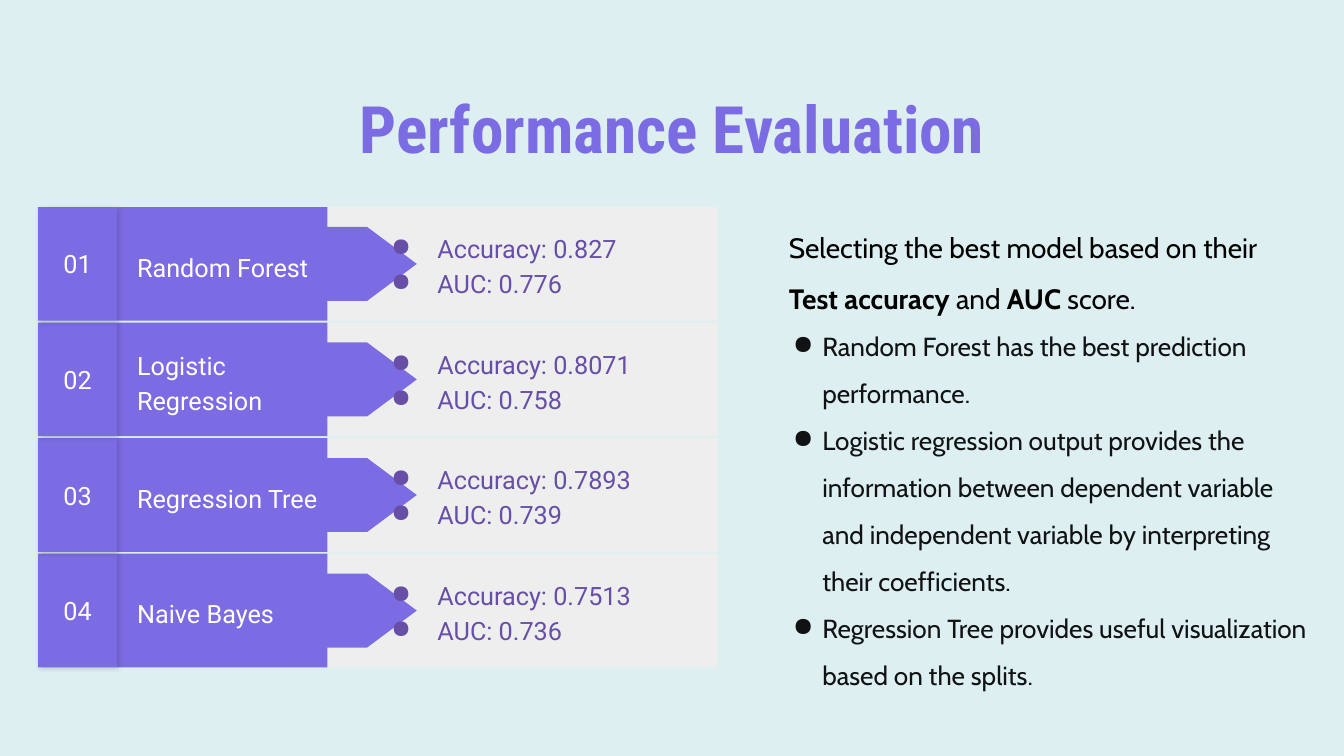
from dataclasses import dataclass

import pptx
import pptx.dml.color
import pptx.enum.shapes
import pptx.enum.text
import pptx.oxml
import pptx.oxml.ns
import pptx.shapes.autoshape
import pptx.shapes.shapetree
import pptx.text.text
import pptx.util

Pt = pptx.util.Pt
RGBColor = pptx.dml.color.RGBColor
Shape = pptx.shapes.autoshape.Shape
Paragraph = pptx.text.text._Paragraph
Align = pptx.enum.text.PP_ALIGN
Anchor = pptx.enum.text.MSO_ANCHOR
Preset = pptx.enum.shapes.MSO_SHAPE

BACKGROUND = RGBColor(0xDD, 0xEF, 0xF0)
PURPLE = RGBColor(0x7C, 0x6C, 0xE3)
DARK_PURPLE = RGBColor(0x67, 0x4E, 0xA7)
GREY = RGBColor(0xEE, 0xEE, 0xEE)
WHITE = RGBColor(0xFF, 0xFF, 0xFF)
BLACK = RGBColor(0x00, 0x00, 0x00)
INK = RGBColor(0x10, 0x12, 0x14)

ROW_TOP, ROW_PITCH, ROW_HEIGHT = 221.9, 123.8, 121.7
NUMBER_LEFT, NUMBER_WIDTH = 41, 84.3
LABEL_LEFT, LABEL_WIDTH = 125.3, 225.4
PANEL_LEFT, PANEL_WIDTH = 301.7, 467.3
ARROW_CENTER, ARROW_THICKNESS, ARROW_LENGTH = 313.6, 79.2, 266
ROW_INSET = 14.4


@dataclass(frozen=True)
class Box:
    left: float
    top: float
    width: float
    height: float

    def lengths(self) -> list[pptx.util.Length]:
        return [Pt(value) for value in (self.left, self.top, self.width, self.height)]


@dataclass(frozen=True)
class TextStyle:
    font: str
    size: float
    color: RGBColor
    bold: bool = False


@dataclass(frozen=True)
class Model:
    name: str
    accuracy: str
    auc: str


MODELS = [
    Model("Random Forest", "0.827", "0.776"),
    Model("Logistic Regression", "0.8071", "0.758"),
    Model("Regression Tree", "0.7893", "0.739"),
    Model("Naive Bayes", "0.7513", "0.736"),
]
INTRODUCTION = [
    ("Selecting the best model based on their", False),
    (" Test accuracy ", True),
    ("and", False),
    (" AUC ", True),
    ("score.", False),
]
FINDINGS = [
    "Random Forest has the best prediction performance.",
    "Logistic regression output provides the information between dependent "
    "variable and independent variable by interpreting their coefficients.",
    "Regression Tree provides useful visualization based on the splits.",
]

TITLE_STYLE = TextStyle("Roboto Condensed", 70, PURPLE, True)
ROW_STYLE = TextStyle("Roboto", 27, WHITE)
METRIC_STYLE = TextStyle("Roboto", 27, DARK_PURPLE)
INTRODUCTION_STYLE = TextStyle("Cabin", 30, BLACK)
FINDING_STYLE = TextStyle("Cabin", 28, INK)


def add_block(shapes: pptx.shapes.shapetree._BaseGroupShapes, preset: Preset,
              box: Box, color: RGBColor) -> Shape:
    shape = shapes.add_shape(preset, *box.lengths())
    shape.shadow.inherit = False
    shape.fill.solid()
    shape.fill.fore_color.rgb = color
    shape.line.fill.background()
    return shape


def add_soft_shadow(shape: Shape) -> None:
    effects = shape._element.spPr.find(pptx.oxml.ns.qn("a:effectLst"))
    effects.append(pptx.oxml.parse_xml(
        f'<a:outerShdw {pptx.oxml.ns.nsdecls("a")} blurRad="{Pt(5.6)}" dist="{Pt(2.2)}" '
        'dir="2700000" algn="bl" rotWithShape="0">'
        '<a:srgbClr val="000000"><a:alpha val="17000"/></a:srgbClr></a:outerShdw>'))


def prepare_frame(shape: Shape, inset: float, anchor: Anchor) -> pptx.text.text.TextFrame:
    frame = shape.text_frame
    frame.word_wrap = True
    frame.vertical_anchor = anchor
    frame.margin_left = frame.margin_top = Pt(inset)
    frame.margin_right = frame.margin_bottom = Pt(inset)
    return frame


def style_paragraph(paragraph: Paragraph, style: TextStyle, spacing: float = 1.0,
                    alignment: Align = Align.LEFT) -> None:
    paragraph.alignment = alignment
    paragraph.line_spacing = spacing
    for run in paragraph.runs:
        run.font.name = style.font
        run.font.size = Pt(style.size)
        run.font.bold = style.bold
        run.font.color.rgb = style.color


def add_bullet(paragraph: Paragraph, indent: float, hanging: float, color: RGBColor) -> None:
    properties = paragraph._p.get_or_add_pPr()
    properties.set("marL", str(Pt(indent)))
    properties.set("indent", str(-Pt(hanging)))
    namespace = pptx.oxml.ns.nsdecls("a")
    properties.append(pptx.oxml.parse_xml(
        f'<a:buClr {namespace}><a:srgbClr val="{color}"/></a:buClr>'))
    properties.append(pptx.oxml.parse_xml(f'<a:buChar {namespace} char="●"/>'))


def add_title(slide: pptx.slide.Slide) -> None:
    title = slide.shapes.add_textbox(*Box(134, 85.7, 1172, 85).lengths())
    frame = prepare_frame(title, 0, Anchor.TOP)
    frame.text = "Performance Evaluation"
    style_paragraph(frame.paragraphs[0], TITLE_STYLE, 1.11, Align.CENTER)


def add_model_row(slide: pptx.slide.Slide, index: int, model: Model) -> None:
    shapes = slide.shapes.add_group_shape().shapes
    top = ROW_TOP + index * ROW_PITCH
    middle = top + ROW_HEIGHT / 2

    add_block(shapes, Preset.RECTANGLE, Box(PANEL_LEFT, top, PANEL_WIDTH, ROW_HEIGHT), GREY)
    add_block(shapes, Preset.RECTANGLE, Box(LABEL_LEFT, top, LABEL_WIDTH, ROW_HEIGHT), PURPLE)
    arrow = add_block(shapes, Preset.FLOWCHART_OFFPAGE_CONNECTOR,
                      Box(ARROW_CENTER - ARROW_THICKNESS / 2, middle - ARROW_LENGTH / 2,
                          ARROW_THICKNESS, ARROW_LENGTH), PURPLE)
    arrow.rotation = 270

    label = shapes.add_textbox(*Box(132.5, top + 15, 237, 93.6).lengths())
    frame = prepare_frame(label, ROW_INSET, Anchor.MIDDLE)
    frame.text = model.name
    style_paragraph(frame.paragraphs[0], ROW_STYLE, 1.15)

    number = add_block(shapes, Preset.RECTANGLE,
                       Box(NUMBER_LEFT, top, NUMBER_WIDTH, ROW_HEIGHT), PURPLE)
    add_soft_shadow(number)
    frame = prepare_frame(number, ROW_INSET, Anchor.MIDDLE)
    frame.text = f"{index + 1:02d}"
    style_paragraph(frame.paragraphs[0], ROW_STYLE, alignment=Align.CENTER)

    metrics = shapes.add_textbox(*Box(382.3, top, 363, ROW_HEIGHT).lengths())
    frame = prepare_frame(metrics, ROW_INSET, Anchor.MIDDLE)
    frame.text = f"Accuracy: {model.accuracy}\nAUC: {model.auc}"
    for paragraph in frame.paragraphs:
        add_bullet(paragraph, 72, 49.7, DARK_PURPLE)
        style_paragraph(paragraph, METRIC_STYLE, 1.15)


def add_findings(slide: pptx.slide.Slide) -> None:
    box = slide.shapes.add_textbox(*Box(838, 221.9, 569.5, 514).lengths())
    frame = prepare_frame(box, 7.2, Anchor.TOP)
    introduction = frame.paragraphs[0]
    for text, _ in INTRODUCTION:
        introduction.add_run().text = text
    style_paragraph(introduction, INTRODUCTION_STYLE, 1.5)
    for run, (_, bold) in zip(introduction.runs, INTRODUCTION):
        run.font.bold = bold
    for finding in FINDINGS:
        paragraph = frame.add_paragraph()
        paragraph.text = finding
        add_bullet(paragraph, 36, 31.7, INK)
        style_paragraph(paragraph, FINDING_STYLE, 1.5)


def main() -> None:
    presentation = pptx.Presentation()
    presentation.slide_width = Pt(1440)
    presentation.slide_height = Pt(810)
    slide = presentation.slides.add_slide(presentation.slide_layouts[6])
    slide.background.fill.solid()
    slide.background.fill.fore_color.rgb = BACKGROUND
    add_title(slide)
    for index, model in reversed(list(enumerate(MODELS))):
        add_model_row(slide, index, model)
    add_findings(slide)
    presentation.save("out.pptx")


if __name__ == "__main__":
    main()
